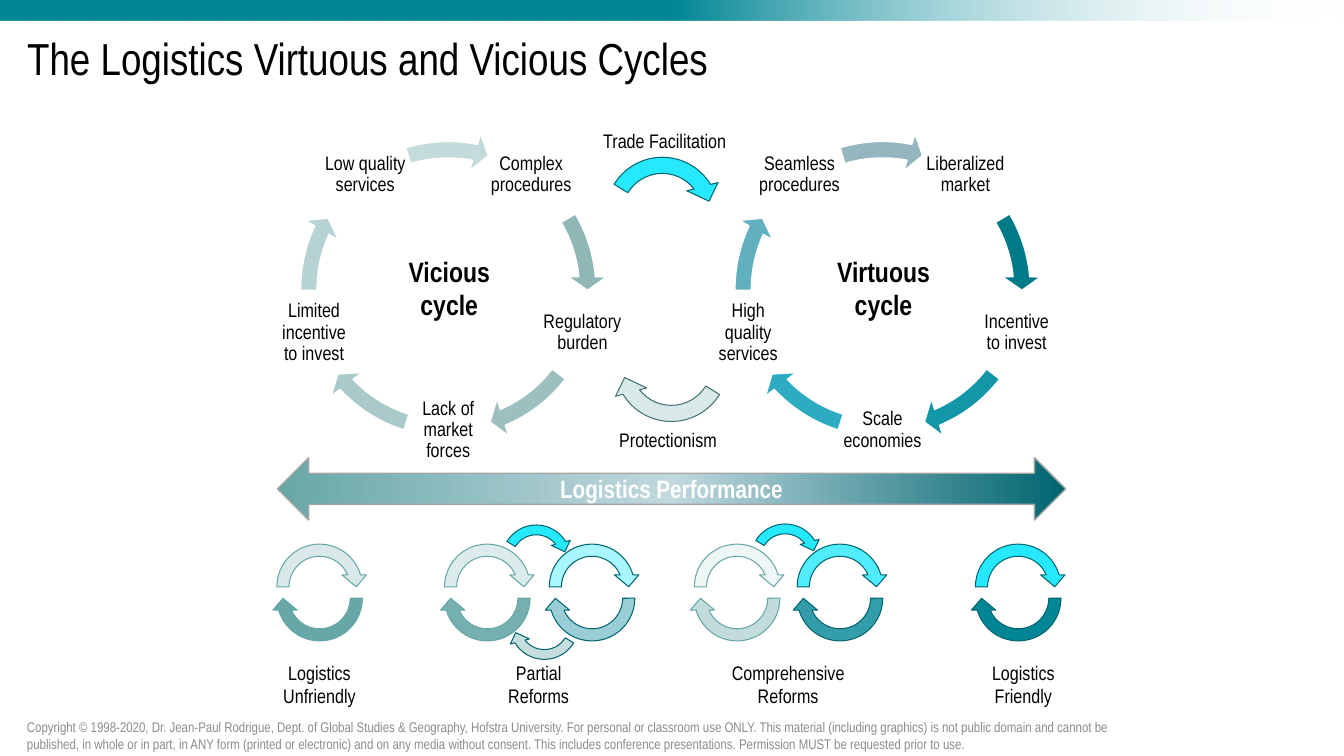
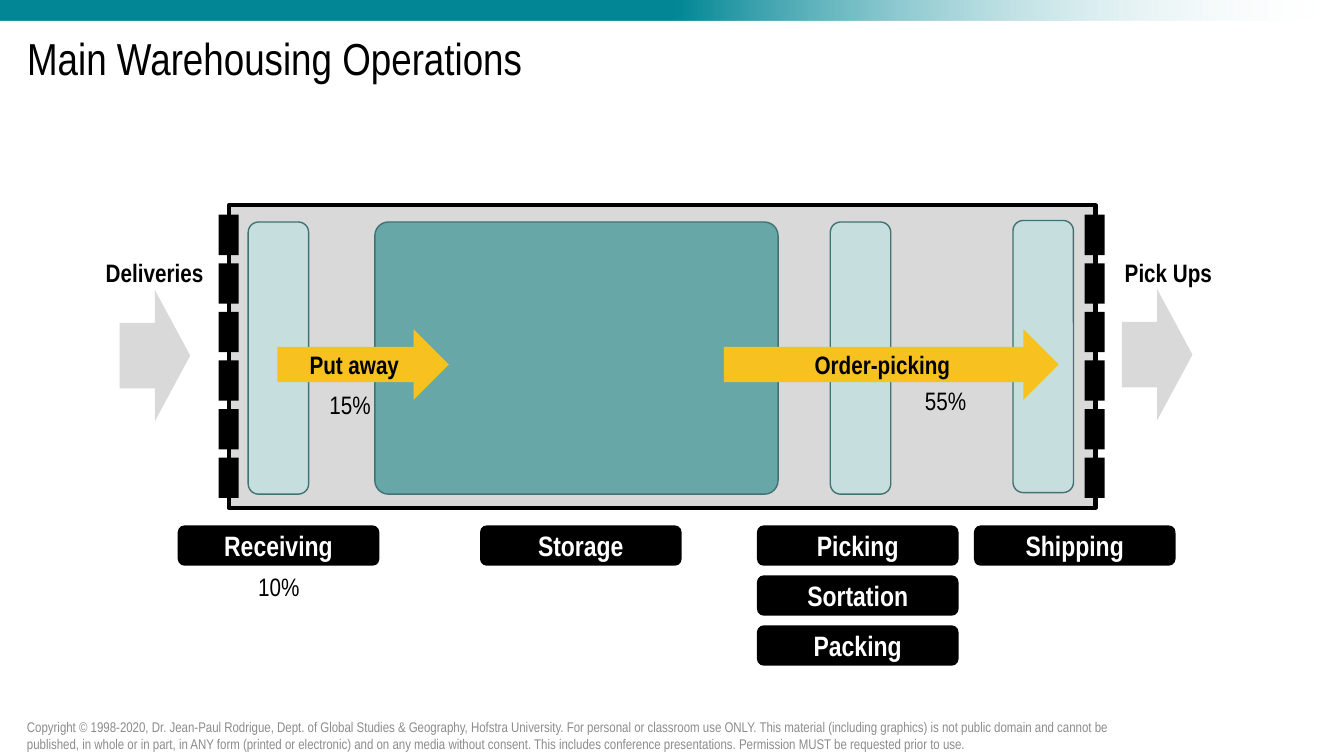
from lxml import etree
from math import cos, radians, sin
from pptx import Presentation
from pptx.dml.color import RGBColor
from pptx.enum import shapes, text
from pptx.oxml.ns import qn
from pptx.util import Pt

# Shared style
FONT = "Arial Narrow"
BLACK = RGBColor(0x00, 0x00, 0x00)
WHITE = RGBColor(0xFF, 0xFF, 0xFF)
GREY = RGBColor(0xD9, 0xD9, 0xD9)
MID_GREY = RGBColor(0xA6, 0xA6, 0xA6)
FOOTER_GREY = RGBColor(0x8C, 0x8C, 0x8C)
TEAL = RGBColor(0x00, 0x86, 0x95)
DEEP_TEAL = RGBColor(0x00, 0x65, 0x70)
CYAN = RGBColor(0x26, 0xE9, 0xFF)
SAGE = RGBColor(0x67, 0xA7, 0xA7)
DARK_SAGE = RGBColor(0x42, 0x72, 0x72)
LIGHT_SAGE = RGBColor(0xC6, 0xDE, 0xDE)
PALE_SAGE = RGBColor(0xD9, 0xE9, 0xE9)
ICE = RGBColor(0xC0, 0xD8, 0xDE)
AMBER = RGBColor(0xF7, 0xC1, 0x20)
KIND = shapes.MSO_SHAPE
LEFT, CENTER = text.PP_ALIGN.LEFT, text.PP_ALIGN.CENTER
TOP, MIDDLE = text.MSO_ANCHOR.TOP, text.MSO_ANCHOR.MIDDLE

FOOTER = (
    "Copyright © 1998-2020, Dr. Jean-Paul Rodrigue, Dept. of Global Studies & Geography, "
    "Hofstra University. For personal or classroom use ONLY. This material (including graphics) "
    "is not public domain and cannot be published, in whole or in part, in ANY form (printed or "
    "electronic) and on any media without consent. This includes conference presentations. "
    "Permission MUST be requested prior to use.")

# Cycles: centre x, name, then (label, colour of the arrow that follows it)
CYCLES = [
    (320.2, "Vicious\ncycle", [
        ("Complex procedures", "91B6B6"), ("Regulatory burden", "9DBFBF"),
        ("Lack of market forces", "AAC9C9"), ("Limited incentive to invest", "B7D2D2"),
        ("Low quality services", "C4DBDB")]),
    (630.4, "Virtuous\ncycle", [
        ("Liberalized market", "007A87"), ("Incentive to invest", "1296A8"),
        ("Scale economies", "2DABC0"), ("High quality services", "61B0BF"),
        ("Seamless procedures", "95B6BE")]),
]
CYCLE_Y, LABEL_RADIUS, LABEL_SIZE, RING_SIZE = 206.5, 100.8, 60.5, 226.8
# End and start angle of each ring arrow, in degrees
RING_ANGLES = [(354.91, 329.42), (66.94, 37.54), (136.87, 107.47),
               (204.99, 179.5), (281.12, 253.29)]

# Small loops: left, upper colour, lower colour, line, opacity in percent
LOOPS = [
    (193.4, PALE_SAGE, SAGE, SAGE, 100),
    (313.2, PALE_SAGE, SAGE, SAGE, 90),
    (388, CYAN, TEAL, DEEP_TEAL, 40),
    (491.6, PALE_SAGE, SAGE, SAGE, 40),
    (565.1, CYAN, TEAL, DEEP_TEAL, 80),
    (692.4, CYAN, TEAL, DEEP_TEAL, 100),
]
# Bridges between cycles: left, top, size, rotation, fill, line
BRIDGES = [
    (427, 106.6, 92.2, 345, CYAN, DEEP_TEAL),
    (433.4, 214.6, 92.2, 165, PALE_SAGE, DARK_SAGE),
    (532.8, 370.8, 56.2, 345, CYAN, DEEP_TEAL),
    (360.7, 418.3, 56.2, 165, LIGHT_SAGE, DEEP_TEAL),
    (355, 371.5, 56.2, 345, CYAN, DEEP_TEAL),
]
# Captions: centre x, top, wording
CAPTION_WIDTH = 120
CAPTIONS = [
    (474.8, 88.6, "Trade Facilitation"), (477.2, 302.4, "Protectionism"),
    (228.2, 468.4, "Logistics\nUnfriendly"), (384.8, 468.4, "Partial\nReforms"),
    (563, 468.4, "Comprehensive\nReforms"), (731, 468.4, "Logistics\nFriendly"),
]

# Warehouse zones: left, top, width, fill, corner
ZONES = [
    (177.3, 158.6, 43.2, LIGHT_SAGE, 0.17), (267.8, 158.6, 288, SAGE, 0.05),
    (593.1, 158.6, 43.2, LIGHT_SAGE, 0.17), (723.6, 157.5, 43.2, LIGHT_SAGE, 0.17),
]
DOCK_LEFTS, DOCK_TOP, DOCK_STEP, DOCK_COUNT = (156.2, 774.7), 153.4, 34.7, 6
# Columns of operation tags: left, wording from top to bottom
TAG_COLUMNS = [
    (127, ["Receiving"]), (342.9, ["Storage"]),
    (540.7, ["Picking", "Sortation", "Packing"]), (695.7, ["Shipping"]),
]
TAG_TOP, TAG_STEP = 375.3, 35.7
# Flow arrows: left, top, width, height, fill, wording
FLOWS = [
    (198.2, 235.2, 122.4, 50.4, AMBER, "Put away"),
    (517, 235.2, 239.2, 50.4, AMBER, "Order-picking"),
    (85.5, 207.2, 50.4, 93.6, GREY, ""),
    (801.4, 206.6, 50.4, 93.6, GREY, ""),
]
# Notes: left, top, width, wording, bold
NOTES = [
    (177.3, 404.6, 44.6, "10%", False), (228.2, 274.6, 44.6, "15%", False),
    (653.6, 271.8, 44.6, "55%", False), (68.4, 180, 85, "Deliveries", True),
    (796.3, 180, 77.8, "Pick Ups", True),
]


def set_text(shape, wording, size, colour=BLACK, bold=False, align=CENTER,
             anchor=MIDDLE, wrap=True, spacing=None):
    frame = shape.text_frame
    frame.text = wording
    frame.word_wrap = wrap
    frame.vertical_anchor = anchor
    fit = text.MSO_AUTO_SIZE
    frame.auto_size = fit.NONE if wrap else fit.SHAPE_TO_FIT_TEXT
    for paragraph in frame.paragraphs:
        paragraph.alignment = align
        if spacing:
            paragraph.line_spacing = spacing
        for run in paragraph.runs:
            run.font.name, run.font.size = FONT, Pt(size)
            run.font.bold, run.font.color.rgb = bold, colour
    return frame


def add_box(slide, left, top, width, height, wording, size, **style):
    box = slide.shapes.add_textbox(Pt(left), Pt(top), Pt(width), Pt(height))
    return set_text(box, wording, size, **style)


def add_shape(slide, kind, left, top, width, height, fill, line=None, weight=1, opacity=100):
    shape = slide.shapes.add_shape(kind, Pt(left), Pt(top), Pt(width), Pt(height))
    shape.shadow.inherit = False
    shape.fill.solid()
    shape.fill.fore_color.rgb = fill
    if opacity < 100:
        colour = shape._element.spPr.find(qn("a:solidFill"))[0]
        etree.SubElement(colour, qn("a:alpha"), val=str(opacity * 1000))
    if line is None:
        shape.line.fill.background()
    else:
        shape.line.color.rgb = line
        shape.line.width = Pt(weight)
    return shape


def set_gradient(shape, stops):
    """Fill from left to right; each stop is position, colour, opacity in percent."""
    shape.fill.gradient()
    shape.fill.gradient_angle = 0
    stop_list = shape._element.spPr.find(qn("a:gradFill")).find(qn("a:gsLst"))
    for old_stop in list(stop_list):
        stop_list.remove(old_stop)
    for position, colour, opacity in stops:
        stop = etree.SubElement(stop_list, qn("a:gs"), pos=str(position * 1000))
        rgb = etree.SubElement(stop, qn("a:srgbClr"), val=str(colour))
        if opacity < 100:
            etree.SubElement(rgb, qn("a:alpha"), val=str(opacity * 1000))


def set_arc(shape, thickness, head_angle, end, start, head_width):
    """Shape a circular arrow; angles in degrees, sizes as shares of the box."""
    values = (thickness, head_angle * 0.6, end * 0.6, start * 0.6, head_width)
    for index, value in enumerate(values):
        shape.adjustments[index] = value


def add_band_to_master(presentation, slide):
    band = add_shape(slide, KIND.RECTANGLE, 0, 0, 960, 14.4, TEAL)
    set_gradient(band, [(50, TEAL, 100), (100, WHITE, 0)])
    presentation.slide_master.shapes._spTree.insert(2, band._element)


def start_slide(presentation, wording):
    slide = presentation.slides.add_slide(presentation.slide_layouts[5])
    title = slide.shapes.title
    title.left, title.top, title.width, title.height = Pt(12.2), Pt(14.4), Pt(936), Pt(57.6)
    set_text(title, wording, 32, align=LEFT, spacing=0.9)
    add_box(slide, 12.2, 511.2, 788.4, 28.8, FOOTER, 10, colour=FOOTER_GREY, align=LEFT)
    return slide


def add_cycle(slide, center_x, name, steps):
    for index, (label, colour) in enumerate(steps):
        angle = radians(-54 + 72 * index)
        frame = add_box(slide, center_x + LABEL_RADIUS * cos(angle) - LABEL_SIZE / 2,
                        CYCLE_Y + LABEL_RADIUS * sin(angle) - LABEL_SIZE / 2,
                        LABEL_SIZE, LABEL_SIZE, label, 14, spacing=0.9)
        frame.margin_left = frame.margin_right = Pt(1.44)
        frame.margin_top = frame.margin_bottom = Pt(1.44)
        arrow = add_shape(slide, KIND.CIRCULAR_ARROW, center_x - RING_SIZE / 2,
                          CYCLE_Y - RING_SIZE / 2, RING_SIZE, RING_SIZE,
                          RGBColor.from_string(colour), WHITE)
        set_arc(arrow, 0.052, 5.59, *RING_ANGLES[index], 0.061)
    add_box(slide, center_x - 40, 178, 81.4, 55.4, name, 20, bold=True,
            anchor=TOP, wrap=False)


def build_cycles(slide):
    for cycle in CYCLES:
        add_cycle(slide, *cycle)
    # Pairs of half circles
    for left, upper, lower, line, opacity in LOOPS:
        for top, rotation, fill in ((384.3, 0, upper), (392.4, 180, lower)):
            half = add_shape(slide, KIND.CIRCULAR_ARROW, left, top, 69.8, 69.8,
                             fill, line, 0.75, opacity)
            half.rotation = rotation
            set_arc(half, 0.125, 19.04, 340.96, 180, 0.125)
    for left, top, size, rotation, fill, line in BRIDGES:
        bridge = add_shape(slide, KIND.CIRCULAR_ARROW, left, top, size, size, fill, line, 0.75)
        bridge.rotation = rotation
        set_arc(bridge, 0.125, 19.04, 340.96, 226.46, 0.125)
    for center_x, top, wording in CAPTIONS:
        height = 41 if "\n" in wording else 24.5
        add_box(slide, center_x - CAPTION_WIDTH / 2, top, CAPTION_WIDTH, height,
                wording, 14, anchor=TOP, wrap=False)
    # Performance scale
    scale = add_shape(slide, KIND.LEFT_RIGHT_ARROW, 198.2, 326.9, 563, 44.6, SAGE, MID_GREY)
    set_gradient(scale, [(0, SAGE, 100), (50, ICE, 100), (100, DEEP_TEAL, 100)])
    set_text(scale, "Logistics Performance", 18, WHITE, bold=True)


def build_warehouse(slide):
    # Building, zones and docks
    add_shape(slide, KIND.RECTANGLE, 163.4, 146.7, 619.2, 216, GREY, BLACK, 3)
    for left, top, width, fill, corner in ZONES:
        zone = add_shape(slide, KIND.ROUNDED_RECTANGLE, left, top, width, 194.4, fill, DARK_SAGE)
        zone.adjustments[0] = corner
    for left in DOCK_LEFTS:
        for row in range(DOCK_COUNT):
            add_shape(slide, KIND.RECTANGLE, left, DOCK_TOP + row * DOCK_STEP, 14.4, 28.8, BLACK)
    # Operations
    for left, names in TAG_COLUMNS:
        for row, name in enumerate(names):
            tag = add_shape(slide, KIND.ROUNDED_RECTANGLE, left, TAG_TOP + row * TAG_STEP,
                            144, 28.8, BLACK)
            set_text(tag, name, 20, WHITE, bold=True)
    # Flows and their notes
    for left, top, width, height, fill, wording in FLOWS:
        arrow = add_shape(slide, KIND.RIGHT_ARROW, left, top, width, height, fill)
        if wording:
            set_text(arrow, wording, 18, bold=True)
    for left, top, width, wording, bold in NOTES:
        add_box(slide, left, top, width, 28.8, wording, 18, bold=bold,
                align=LEFT, anchor=TOP, wrap=False)


def main():
    presentation = Presentation()
    presentation.slide_width, presentation.slide_height = Pt(960), Pt(540)
    cycles = start_slide(presentation, "The Logistics Virtuous and Vicious Cycles")
    add_band_to_master(presentation, cycles)
    build_cycles(cycles)
    build_warehouse(start_slide(presentation, "Main Warehousing Operations"))
    presentation.save("out.pptx")


if __name__ == "__main__":
    main()
